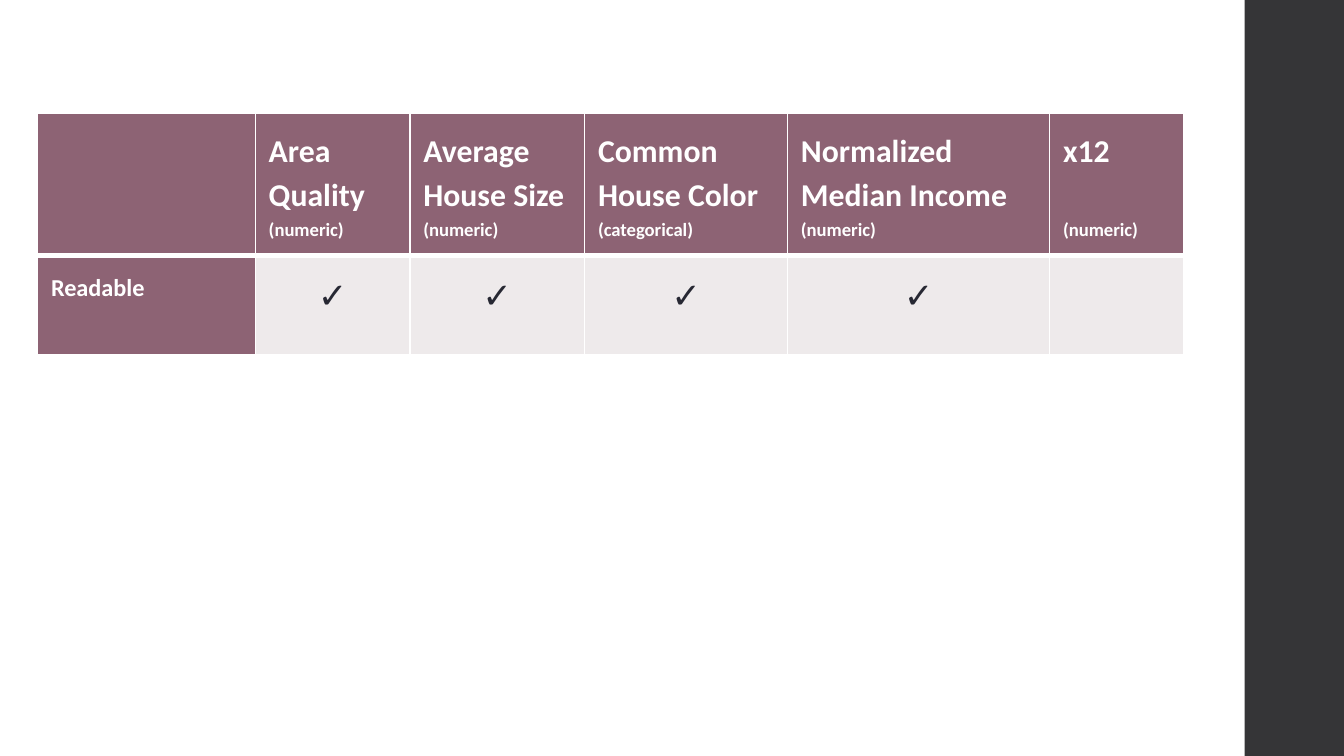
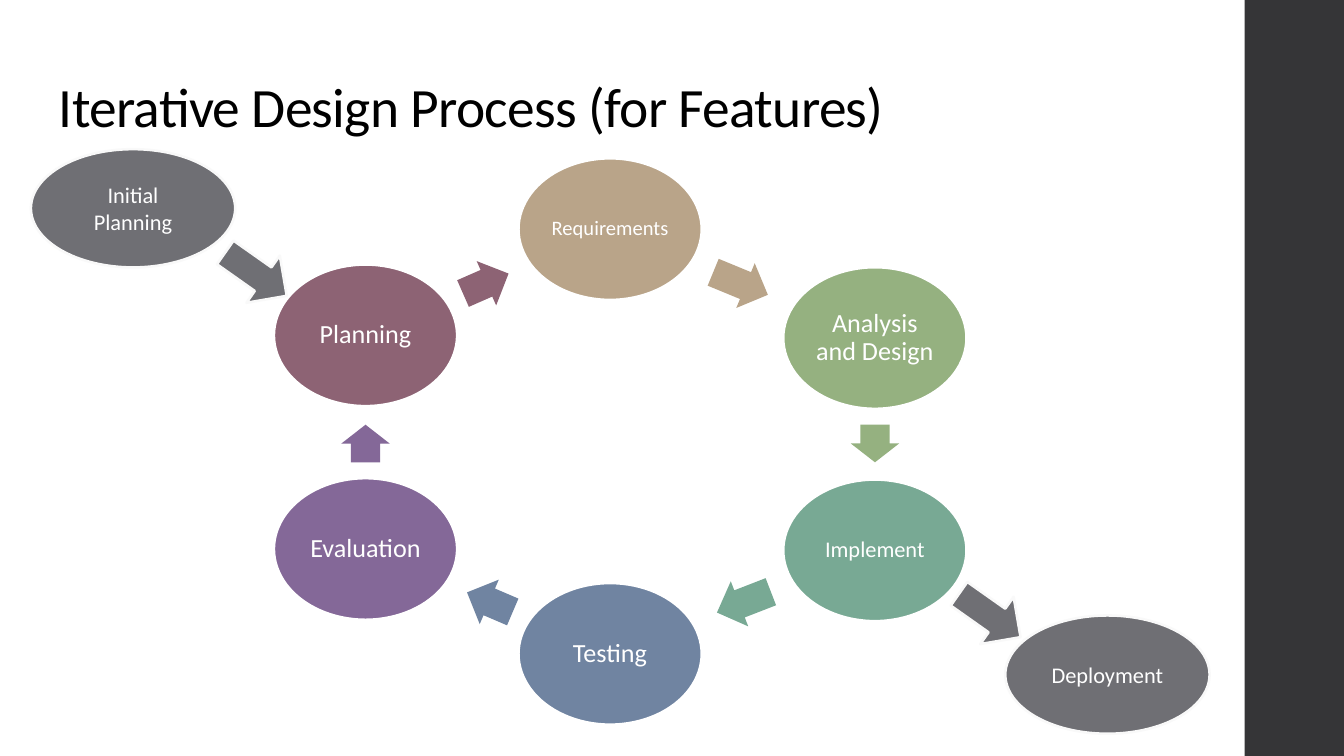
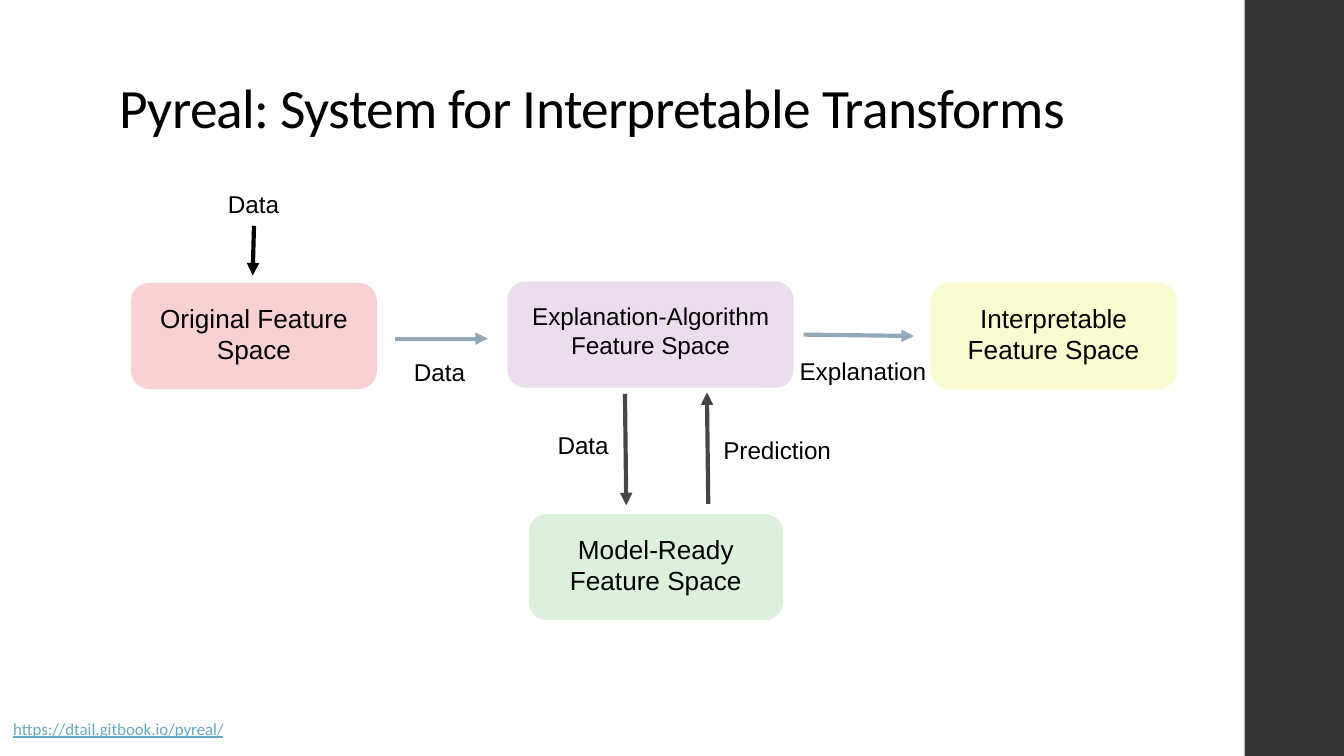
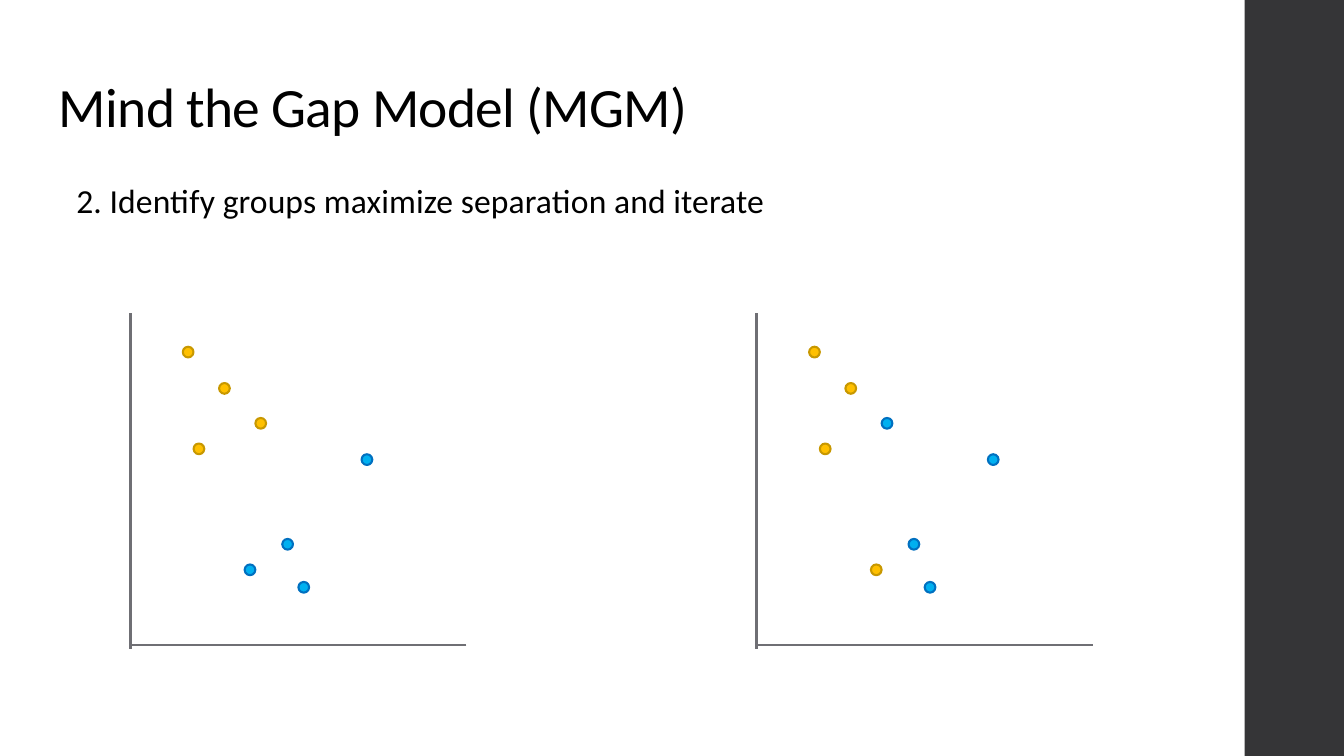
from lxml import etree
from pptx import Presentation
from pptx.dml.color import RGBColor
from pptx.enum import shapes, text
from pptx.oxml.ns import qn
from pptx.util import Inches, Pt

WHITE = RGBColor(0xFF, 0xFF, 0xFF)
BLACK = RGBColor(0x00, 0x00, 0x00)
BAND = RGBColor(0x35, 0x35, 0x37)
GRAY = RGBColor(0x6F, 0x6F, 0x74)
OUTLINE = RGBColor(0xF9, 0xF9, 0xF9)
DARK = RGBColor(0x46, 0x46, 0x4A)
STEEL = RGBColor(0x92, 0xA9, 0xB9)
LINK = RGBColor(0x67, 0xAA, 0xBF)
MAUVE = RGBColor(0x8D, 0x63, 0x74)
CELL = RGBColor(0xEE, 0xEA, 0xEB)
CHECK = RGBColor(0x27, 0x28, 0x33)
TAN = RGBColor(0xB9, 0xA4, 0x89)
GREEN = RGBColor(0x95, 0xB1, 0x80)
TEAL = RGBColor(0x78, 0xA9, 0x94)
BLUE = RGBColor(0x70, 0x84, 0xA1)
PURPLE = RGBColor(0x84, 0x68, 0x98)
PALE_YELLOW = RGBColor(0xFB, 0xFB, 0xD0)
PALE_PURPLE = RGBColor(0xEC, 0xDD, 0xEE)
PALE_RED = RGBColor(0xFA, 0xD1, 0xD2)
PALE_GREEN = RGBColor(0xDC, 0xF0, 0xDB)
GOLD_DOT = RGBColor(0xFF, 0xC0, 0x00), RGBColor(0xC8, 0x98, 0x00)
BLUE_DOT = RGBColor(0x00, 0xB0, 0xF0), RGBColor(0x00, 0x70, 0xC0)

SHAPE = shapes.MSO_SHAPE
ALIGN = text.PP_ALIGN
ANCHOR = text.MSO_ANCHOR


def style(p, size, color=BLACK, font="Calibri", align=None, bold=None, spacing=None):
    p.font.size, p.font.name, p.font.bold = Pt(size), font, bold
    p.font.color.rgb = color
    p.alignment = align
    p.line_spacing = spacing


def write(sp, words, size, inset=0.1, anchor=ANCHOR.TOP, tracking=0, **look):
    """Put one styled paragraph in a shape; tracking is in hundredths of a point."""
    tf = sp.text_frame
    tf.word_wrap = True
    tf.vertical_anchor = anchor
    tf.margin_left = tf.margin_right = tf.margin_top = tf.margin_bottom = Inches(inset)
    p = tf.paragraphs[0]
    r = p.add_run()
    r.text = words
    if tracking:
        r.font._element.set("spc", str(tracking))
    style(p, size, **look)
    return p


def add_text(s, x, y, w, h, words, size, **look):
    box = s.shapes.add_textbox(Inches(x), Inches(y), Inches(w), Inches(h))
    return write(box, words, size, **look)


def add_shape(s, kind, x, y, w, h, fill, line=None, width=1.1, rotation=0):
    sp = s.shapes.add_shape(kind, Inches(x), Inches(y), Inches(w), Inches(h))
    sp.shadow.inherit = False
    sp.rotation = rotation
    sp.fill.solid()
    sp.fill.fore_color.rgb = fill
    if line is None:
        sp.line.fill.background()
    else:
        sp.line.color.rgb = line
        sp.line.width = Pt(width)
    return sp


def add_line(s, x1, y1, x2, y2, color, width, arrow=False):
    c = s.shapes.add_connector(shapes.MSO_CONNECTOR.STRAIGHT,
                               Inches(x1), Inches(y1), Inches(x2), Inches(y2))
    c.line.color.rgb = color
    c.line.width = Pt(width)
    if arrow:
        etree.SubElement(c.line._get_or_add_ln(), qn("a:tailEnd"), type="triangle")
    etree.SubElement(c._element.spPr, qn("a:effectLst"))


def add_slide(prs, title=None, x=0.34, y=0.49):
    s = prs.slides.add_slide(prs.slide_layouts[6])
    band = add_shape(s, SHAPE.RECTANGLE, 9.26, 0, 0.75, 5.62, BAND)
    band.height = prs.slide_height
    if title:
        add_text(s, x, y, 9.32, 0.63, title, 29.7, spacing=0.9, tracking=-40)
    return s


def set_borders(cell, bottom):
    tc_pr = cell._tc.get_or_add_tcPr()
    for side, width in (("L", 1), ("R", 1), ("T", 1), ("B", bottom)):
        ln = etree.SubElement(tc_pr, qn("a:ln" + side), w=str(Pt(width)))
        fill = etree.SubElement(ln, qn("a:solidFill"))
        etree.SubElement(fill, qn("a:srgbClr"), val=str(WHITE))


def fill_cell(cell, fill, bottom, lines, **look):
    """Write (words, size) lines into a cell."""
    set_borders(cell, bottom)
    cell.fill.solid()
    cell.fill.fore_color.rgb = fill
    cell.margin_left = cell.margin_right = cell.margin_top = cell.margin_bottom = Inches(0.1)
    tf = cell.text_frame
    for i, (words, size) in enumerate(lines):
        p = tf.add_paragraph() if i else tf.paragraphs[0]
        p.text = words
        style(p, size, bold=True, spacing=1.15, **look)


def feature_table(s, x, y):
    features = [("Area Quality", "numeric", True), ("Average House Size", "numeric", True),
                ("Common House Color", "categorical", True),
                ("Normalized Median Income", "numeric", True), ("x12", "numeric", False)]
    widths = [1.62, 1.15, 1.3, 1.51, 1.95, 1]
    table = s.shapes.add_table(2, len(widths), Inches(x), Inches(y),
                               Inches(sum(widths)), Inches(1.77)).table
    for col, width in zip(table.columns, widths):
        col.width = Inches(width)
    table.rows[0].height, table.rows[1].height = Inches(1.03), Inches(0.74)
    fill_cell(table.cell(0, 0), MAUVE, 3, [])
    fill_cell(table.cell(1, 0), MAUVE, 1, [("Readable", 13)], color=WHITE)
    for i, (name, kind, readable) in enumerate(features, 1):
        fill_cell(table.cell(0, i), MAUVE, 3, [(name, 17), (f"({kind})", 10)], color=WHITE)
        fill_cell(table.cell(1, i), CELL, 1, [("✓", 19)] if readable else [],
                  color=CHECK, align=ALIGN.CENTER)
    # The one-line heading keeps its type level with the others
    table.cell(0, len(features)).text_frame.paragraphs[1].space_before = Pt(24)


def design_cycle(s, x, y):
    """Ring of stages, each followed by an arrow (x, y, length, angle) to the next."""
    stages = [
        ("Requirements", 11, TAN, 1.82, 0, (3.25, 0.75, 0.44, 22.4)),
        ("Analysis and Design", 14, GREEN, 3.79, 0.81, (4.33, 1.94, 0.28, 90)),
        ("Implement", 12, TEAL, 3.79, 2.39, (3.28, 3.12, 0.43, 158.8)),
        ("Testing", 14, BLUE, 1.82, 3.16, (1.42, 3.12, 0.37, 203.2)),
        ("Evaluation", 14, PURPLE, 0, 2.38, (0.54, 1.94, 0.28, 270)),
        ("Planning", 14, MAUVE, 0, 0.79, (1.39, 0.75, 0.37, 336.3)),
    ]
    for name, size, color, dx, dy, (ax, ay, length, angle) in stages:
        stage = add_shape(s, SHAPE.OVAL, x + dx, y + dy, 1.36, 1.05, color, WHITE)
        write(stage, name, size, inset=0.02, anchor=ANCHOR.MIDDLE, color=WHITE,
              align=ALIGN.CENTER, spacing=0.9)
        arrow = add_shape(s, SHAPE.RIGHT_ARROW, x + ax, y + ay, length, 0.36, color,
                          rotation=angle)
        arrow.adjustments[0], arrow.adjustments[1] = 0.6, 0.5


def outer_step(s, x, y, name, arrow_x, arrow_y):
    """Gray step outside the ring, with the arrow that links it."""
    step = add_shape(s, SHAPE.OVAL, x, y, 1.52, 0.88, GRAY, OUTLINE, 1.35)
    write(step, name, 12, anchor=ANCHOR.MIDDLE, color=WHITE, align=ALIGN.CENTER)
    add_shape(s, SHAPE.DOWN_ARROW, x + arrow_x, y + arrow_y, 0.43, 0.56, GRAY, OUTLINE,
              1.35, rotation=305.2)


def feature_spaces(s, x, y):
    """Flow between feature spaces; x, y is the corner of the first box."""
    spaces = [("Original Feature Space", 14, PALE_RED, 0, 0, 1.82),
              ("Explanation-Algorithm Feature Space", 13, PALE_PURPLE, 2.8, -0.01, 2.12),
              ("Interpretable Feature Space", 14, PALE_YELLOW, 5.95, 0, 1.82),
              ("Model-Ready Feature Space", 14, PALE_GREEN, 2.96, 1.72, 1.88)]
    for name, size, color, dx, dy, w in spaces:
        box = add_shape(s, SHAPE.ROUNDED_RECTANGLE, x + dx, y + dy, w, 0.78, color, color, 0.75)
        write(box, name, size, font="Arial", align=ALIGN.CENTER)

    flows = [(0.91, -0.43, 0.9, -0.06, BLACK), (1.96, 0.41, 2.65, 0.41, STEEL),
             (5, 0.38, 5.82, 0.39, STEEL), (3.67, 0.82, 3.68, 1.65, DARK),
             (4.29, 1.64, 4.28, 0.81, DARK)]
    for x1, y1, x2, y2, color in flows:
        add_line(s, x + x1, y + y1, x + x2, y + y2, color, 2.25, arrow=True)

    labels = [("Data", 0.36, -0.8, 1.09, ALIGN.CENTER), ("Data", 1.78, 0.45, 1.02, ALIGN.CENTER),
              ("Explanation", 4.74, 0.44, 1.4, ALIGN.CENTER),
              ("Data", 3.07, 0.99, 1.09, ALIGN.LEFT),
              ("Prediction", 4.21, 1.03, 1.09, ALIGN.RIGHT)]
    for words, dx, dy, w, align in labels:
        add_text(s, x + dx, y + dy, w, 0.42, words, 13, font="Arial", align=align)


def scatter(s, x, y, gold):
    """Axes and dots; gold holds the indexes of the dots in the gold group."""
    dots = [(0.39, 0.25), (0.47, 0.97), (0.66, 0.52), (0.93, 0.78),
            (0.85, 1.87), (1.13, 1.68), (1.25, 2), (1.72, 1.05)]
    add_line(s, x, y, x, y + 2.5, GRAY, 1.5)
    add_line(s, x + 2.5, y + 2.47, x, y + 2.47, GRAY, 1.5)
    for i, (dx, dy) in enumerate(dots):
        fill, line = GOLD_DOT if i in gold else BLUE_DOT
        add_shape(s, SHAPE.OVAL, x + dx, y + dy, 0.08, 0.08, fill, line)


def main():
    prs = Presentation()
    prs.slide_width = Inches(10)
    prs.slide_height = prs.slide_width * 9 // 16

    feature_table(add_slide(prs), 0.28, 0.84)

    s = add_slide(prs, "Iterative Design Process (for Features)")
    design_cycle(s, 2.04, 1.18)
    outer_step(s, 7.48, 4.58, "Deployment", -0.33, -0.28)
    outer_step(s, 0.23, 1.11, "Initial Planning", 1.46, 0.65)

    s = add_slide(prs, "Pyreal: System for Interpretable Transforms", 0.79, 0.5)
    feature_spaces(s, 0.98, 2.11)
    p = add_text(s, 0, 5.27, 8.49, 0.35, "https://dtail.gitbook.io/pyreal/", 9, color=LINK)
    p.font.underline = True

    s = add_slide(prs, "Mind the Gap Model (MGM)")
    add_text(s, 0.47, 1.26, 9.19, 3.74, "2. Identify groups maximize separation and iterate", 18,
             spacing=0.95, tracking=7)
    scatter(s, 0.97, 2.33, gold={0, 1, 2, 3})
    scatter(s, 5.63, 2.33, gold={0, 1, 2, 4})

    prs.save("out.pptx")


if __name__ == "__main__":
    main()
